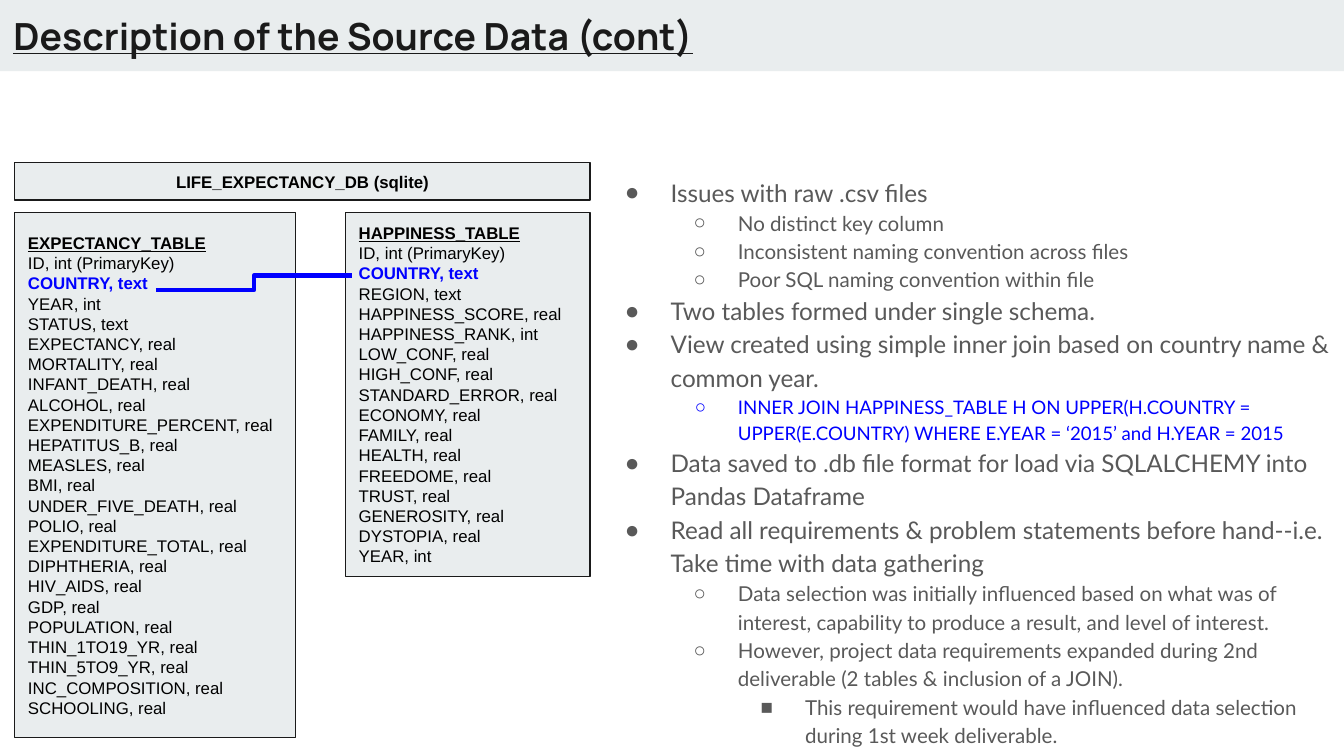
from lxml import etree
from pptx import Presentation
from pptx import util as u
from pptx.dml import color as c
from pptx.enum import shapes, text
from pptx.oxml import ns

INK, GREY, BLUE, BLACK, PALE = "1A1A1A", "595959", "0000FF", "000000", "E9EDEE"


def rgb(value):
    return c.RGBColor.from_string(value)


def write(paragraph, words, color, **formats):
    run = paragraph.add_run()
    run.text = words
    run.font.color.rgb = rgb(color)
    for name, value in formats.items():
        setattr(run.font, name, value)


presentation = Presentation()
presentation.slide_width = u.Inches(10)
presentation.slide_height = u.Inches(10 * 9 / 16)
slide = presentation.slides.add_slide(presentation.slide_layouts[1])
title, body = slide.placeholders

band = slide.shapes.add_shape(
    shapes.MSO_SHAPE.RECTANGLE, 0, 0, u.Inches(10), u.Inches(0.53))
band.shadow.inherit = False
band.fill.solid()
band.fill.fore_color.rgb = rgb(PALE)
band.line.fill.background()
slide.shapes._spTree.insert(2, band._element)

frame_format = {
    "word_wrap": True, "auto_size": text.MSO_AUTO_SIZE.NONE,
    "vertical_anchor": text.MSO_ANCHOR.TOP,
    "margin_left": u.Inches(0.1), "margin_right": u.Inches(0.1),
    "margin_top": u.Inches(0.1), "margin_bottom": u.Inches(0.1),
}
for placeholder, box in ((title, (0, 0, 8.41, 0.54)), (body, (4.39, 1.19, 5.61, 4.44))):
    for name, value in zip(("left", "top", "width", "height"), box):
        setattr(placeholder, name, u.Inches(value))
    for name, value in frame_format.items():
        setattr(placeholder.text_frame, name, value)

heading = title.text_frame.paragraphs[0]
heading.alignment = text.PP_ALIGN.LEFT
write(heading, "Description of the Source Data (cont)", INK,
      name="Manrope", size=u.Pt(20), bold=True, underline=True)

levels = [("●", 13, 0.34), ("○", 11, 0.33), ("■", 11, 0.33)]
query = ("INNER JOIN HAPPINESS_TABLE H ON UPPER(H.COUNTRY = UPPER(E.COUNTRY) "
         "WHERE E.YEAR = ‘2015’ and H.YEAR = 2015")
points = [
    (0, "Issues with raw .csv files"),
    (1, "No distinct key column"),
    (1, "Inconsistent naming convention across files"),
    (1, "Poor SQL naming convention within file"),
    (0, "Two tables formed under single schema."),
    (0, "View created using simple inner join based on country name & common year."),
    (1, query),
    (0, "Data saved to .db file format for load via SQLALCHEMY into Pandas Dataframe"),
    (0, "Read all requirements & problem statements before hand--i.e. "
        "Take time with data gathering"),
    (1, "Data selection was initially influenced based on what was of interest, "
        "capability to produce a result, and level of interest."),
    (1, "However, project data requirements expanded during 2nd deliverable "
        "(2 tables & inclusion of a JOIN)."),
    (2, "This requirement would have influenced data selection "
        "during 1st week deliverable."),
]
for index, (level, words) in enumerate(points):
    frame = body.text_frame
    paragraph = frame.add_paragraph() if index else frame.paragraphs[0]
    bullet, size, hanging = levels[level]
    color = GREY
    if words == query:
        color, size, hanging = BLUE, 10, 0.32
    paragraph.level = level
    paragraph.line_spacing = 1.15
    paragraph.space_before = u.Pt(0)
    write(paragraph, words, color, name="Lato", size=u.Pt(size))
    properties = paragraph._p.get_or_add_pPr()
    properties.set("marL", str(u.Inches(0.5 * (level + 1))))
    properties.set("indent", str(-u.Inches(hanging)))
    bullet_color = etree.SubElement(properties, ns.qn("a:buClr"))
    etree.SubElement(bullet_color, ns.qn("a:srgbClr"), val=color)
    etree.SubElement(properties, ns.qn("a:buFont"), typeface="Arial")
    etree.SubElement(properties, ns.qn("a:buChar"), char=bullet)

expectancy = [
    "EXPECTANCY_TABLE", "ID, int (PrimaryKey)", "COUNTRY, text", "YEAR, int",
    "STATUS, text", "EXPECTANCY, real", "MORTALITY, real", "INFANT_DEATH, real",
    "ALCOHOL, real", "EXPENDITURE_PERCENT, real", "HEPATITUS_B, real",
    "MEASLES, real", "BMI, real", "UNDER_FIVE_DEATH, real", "POLIO, real",
    "EXPENDITURE_TOTAL, real", "DIPHTHERIA, real", "HIV_AIDS, real", "GDP, real",
    "POPULATION, real", "THIN_1TO19_YR, real", "THIN_5TO9_YR, real",
    "INC_COMPOSITION, real", "SCHOOLING, real",
]
happiness = [
    "HAPPINESS_TABLE", "ID, int (PrimaryKey)", "COUNTRY, text", "REGION, text",
    "HAPPINESS_SCORE, real", "HAPPINESS_RANK, int", "LOW_CONF, real",
    "HIGH_CONF, real", "STANDARD_ERROR, real", "ECONOMY, real", "FAMILY, real",
    "HEALTH, real", "FREEDOME, real", "TRUST, real", "GENEROSITY, real",
    "DYSTOPIA, real", "YEAR, int",
]
table_boxes = [
    ((0.11, 1.58, 2.09, 3.91), expectancy),
    ((2.57, 1.58, 1.82, 2.71), happiness),
]
database_box = ((0.11, 1.21, 4.28, 0.28), ["LIFE_EXPECTANCY_DB (sqlite)"])
frame_format["vertical_anchor"] = text.MSO_ANCHOR.MIDDLE
for box, lines in [*table_boxes, database_box]:
    shape = slide.shapes.add_shape(shapes.MSO_SHAPE.RECTANGLE, *map(u.Inches, box))
    shape.shadow.inherit = False
    shape.fill.solid()
    shape.fill.fore_color.rgb = rgb(PALE)
    shape.line.color.rgb = rgb(INK)
    shape.line.width = u.Pt(0.75)
    frame = shape.text_frame
    for name, value in frame_format.items():
        setattr(frame, name, value)
    is_table = len(lines) > 1
    for index, words in enumerate(lines):
        paragraph = frame.add_paragraph() if index else frame.paragraphs[0]
        paragraph.alignment = text.PP_ALIGN.LEFT if is_table else text.PP_ALIGN.CENTER
        is_key = words == "COUNTRY, text"
        write(paragraph, words, BLUE if is_key else BLACK, name="Arial", size=u.Pt(9),
              bold=is_key or index == 0, underline=is_table and index == 0)

join = slide.shapes.add_connector(
    shapes.MSO_CONNECTOR.ELBOW, *map(u.Inches, (1.16, 2.16, 2.62, 2.05)))
join.line.color.rgb = rgb(BLUE)
join.line.width = u.Pt(2.25)
etree.SubElement(join._element.spPr, ns.qn("a:effectLst"))

presentation.save("out.pptx")
